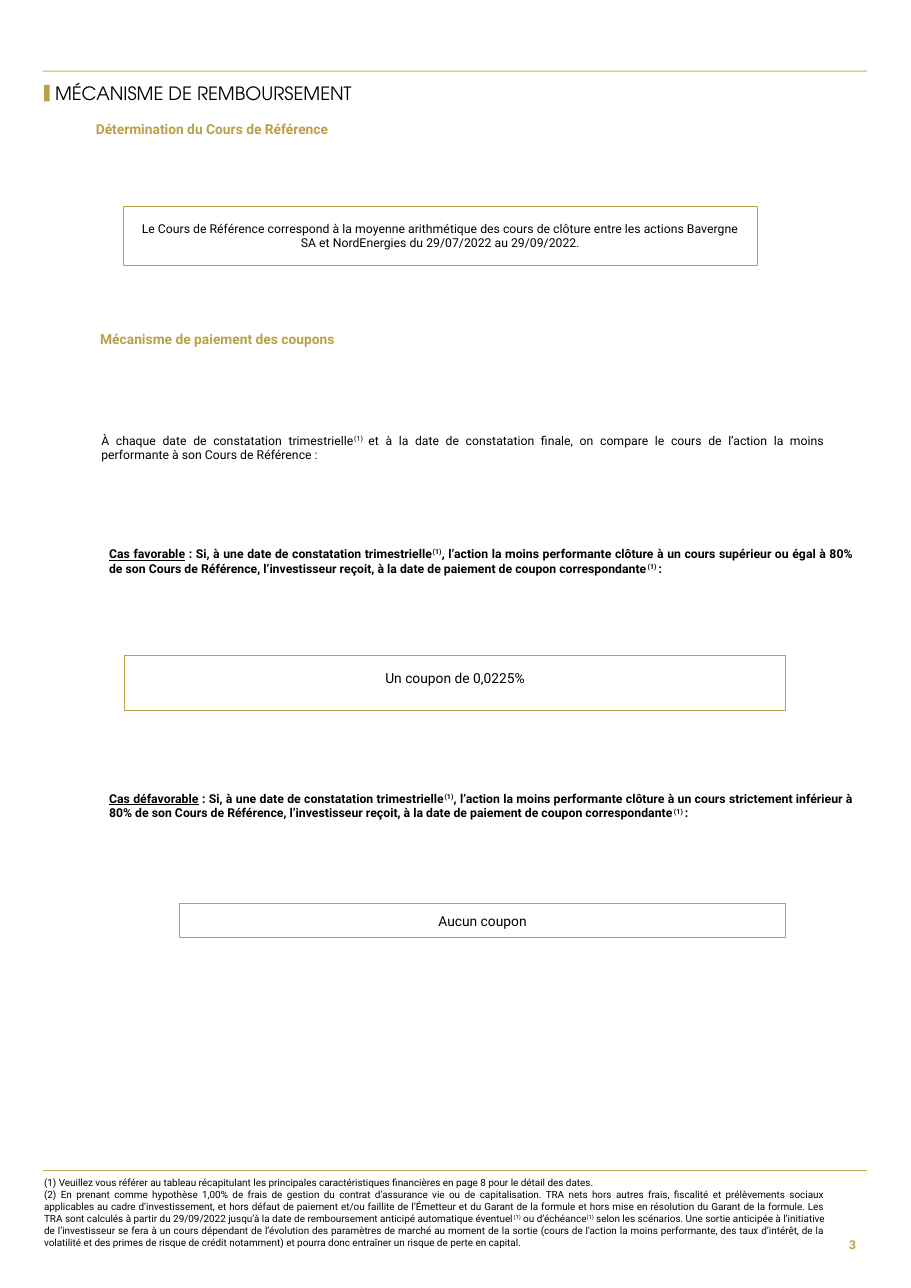
from pptx import Presentation
from pptx.dml.color import RGBColor
from pptx.enum.shapes import MSO_SHAPE as Shape
from pptx.enum.text import MSO_ANCHOR as Anchor, MSO_AUTO_SIZE as AutoSize, PP_ALIGN as Align
from pptx.util import Inches, Pt

GOLD = RGBColor(0xB9, 0xA0, 0x49)
RULE_GOLD = RGBColor(0xC5, 0xAF, 0x5C)
BLACK = RGBColor(0, 0, 0)
WHITE = RGBColor(255, 255, 255)
BODY_FONT = "Roboto"
TITLE_FONT = "TeX Gyre Adventor"

DATES_NOTE = (
    "(1) Veuillez vous référer au tableau récapitulant les principales caractéristiques "
    "financières en page 8 pour le détail des dates.")
RETURN_NOTE_SENTENCES = [
    "(2) En prenant comme hypothèse 1,00% de frais de gestion du contrat d’assurance vie ou de "
    "capitalisation.",
    "TRA nets hors autres frais, fiscalité et prélèvements sociaux applicables au cadre "
    "d’investissement, et hors défaut de paiement et/ou faillite de l’Émetteur et du Garant "
    "de la formule et hors mise en résolution du Garant de la formule.",
    "Les TRA sont calculés à partir du 29/09/2022 jusqu’à la date de remboursement anticipé "
    "automatique éventuel^(1)^ ou d’échéance^(1)^ selon les scénarios.",
    "Une sortie anticipée à l’initiative de l’investisseur se fera à un cours dépendant de "
    "l’évolution des paramètres de marché au moment de la sortie (cours de l'action la moins "
    "performante, des taux d’intérêt, de la volatilité et des primes de risque de crédit "
    "notamment) et pourra donc entraîner un risque de perte en capital.",
]


def write(frame, *paragraphs, size=8, font=BODY_FONT, color=BLACK, bold=False,
          align=Align.LEFT, anchor=Anchor.TOP, insets=(0, 0), spacing=None, lead=""):
    """Fill a frame: ^...^ marks superscript, lead is an underlined opening."""
    frame.word_wrap = True
    frame.auto_size = AutoSize.NONE
    frame.vertical_anchor = anchor
    frame.margin_left = frame.margin_right = Inches(insets[0])
    frame.margin_top = frame.margin_bottom = Inches(insets[1])
    for index, text in enumerate(paragraphs):
        paragraph = frame.paragraphs[0] if index == 0 else frame.add_paragraph()
        paragraph.alignment = align
        paragraph.space_before = Pt(0)
        paragraph.line_spacing = spacing
        pieces = [(lead, True, False)] if index == 0 else []
        pieces += [(part, False, n % 2 == 1) for n, part in enumerate(text.split("^"))]
        for part, underlined, raised in pieces:
            if not part:
                continue
            run = paragraph.add_run()
            run.text = part
            run.font.size = Pt(size)
            run.font.name = font
            run.font.color.rgb = color
            run.font.bold = bold
            if underlined:
                run.font.underline = True
            if raised:
                run._r.get_or_add_rPr().set("baseline", "30000")


def add_text(slide, box, *paragraphs, **style):
    write(slide.shapes.add_textbox(*map(Inches, box)).text_frame, *paragraphs, **style)


def add_rect(slide, box, fill=None, line=None, width=0.75):
    rect = slide.shapes.add_shape(Shape.RECTANGLE, *map(Inches, box))
    rect.shadow.inherit = False
    if fill is None:
        rect.fill.background()
    else:
        rect.fill.solid()
        rect.fill.fore_color.rgb = fill
    if line is None:
        rect.line.fill.background()
    else:
        rect.line.color.rgb = line
        rect.line.width = Pt(width)
    return rect


def add_framed_text(slide, box, text, fill=WHITE, width=0.75, **style):
    frame = add_rect(slide, box, fill, GOLD, width).text_frame
    write(frame, text, align=Align.CENTER, **style)


def add_header(slide, left, top, width):
    add_rect(slide, (left, top, width, 0.01), RULE_GOLD)
    add_rect(slide, (left + 0.01, top + 0.13, 0.05, 0.15), GOLD)
    title = slide.shapes.title
    title.left, title.top = Inches(left + 0.11), Inches(top + 0.09)
    title.width, title.height = Inches(4.21), Inches(0.25)
    write(title.text_frame, "MÉCANISME DE REMBOURSEMENT", size=12, font=TITLE_FONT,
          anchor=Anchor.MIDDLE, spacing=0.9)


def add_section_heading(slide, left, top, text):
    add_text(slide, (left, top, 6.5, 0.18), text, size=9, color=GOLD, bold=True)


def add_reference_price(slide, left, top):
    add_section_heading(slide, left, top, "Détermination du Cours de Référence")
    add_framed_text(
        slide, (left + 0.25, top + 0.77, 5.76, 0.54),
        "Le Cours de Référence correspond à la moyenne arithmétique des cours de clôture entre les "
        "actions Bavergne SA et NordEnergies du 29/07/2022 au 29/09/2022.",
        fill=None, width=0.5, anchor=Anchor.MIDDLE, insets=(0.12, 0.1))


def add_case(slide, top, name, threshold):
    add_text(
        slide, (0.99, top, 6.76, 0.27),
        f" : Si, à une date de constatation trimestrielle^(1)^, l’action la moins performante "
        f"clôture à un cours {threshold} à 80% de son Cours de Référence, l’investisseur reçoit, "
        f"à la date de paiement de coupon correspondante^(1) ^:",
        lead=name, bold=True, align=Align.JUSTIFY)


def add_coupon_mechanism(slide, left, top):
    add_section_heading(slide, left, top, "Mécanisme de paiement des coupons")
    add_text(
        slide, (left + 0.01, top + 0.93, 6.57, 0.27),
        "À chaque date de constatation trimestrielle^(1) ^et à la date de constatation finale, on "
        "compare le cours de l’action la moins performante à son Cours de Référence :",
        align=Align.JUSTIFY)
    add_case(slide, top + 1.96, "Cas favorable", "supérieur ou égal")
    add_framed_text(slide, (left + 0.22, top + 2.95, 6, 0.5), "Un coupon de 0,0225%",
                    size=9, spacing=0.9, insets=(0.12, 0.15))
    add_case(slide, top + 4.18, "Cas défavorable", "strictement inférieur")
    add_framed_text(slide, (left + 0.72, top + 5.2, 5.5, 0.31), "Aucun coupon",
                    size=9, anchor=Anchor.MIDDLE, insets=(0.12, 0.08))


def add_footer(slide, left, top, width):
    add_rect(slide, (left, top, width, 0.01), RULE_GOLD)
    add_text(slide, (left + 0.01, top + 0.06, 7.09, 0.66),
             DATES_NOTE, " ".join(RETURN_NOTE_SENTENCES), size=6.5, align=Align.JUSTIFY)
    add_text(slide, (left + width - 0.39, top + 0.47, 0.39, 0.42), "3", color=GOLD, bold=True,
             align=Align.RIGHT, anchor=Anchor.MIDDLE, insets=(0.1, 0.05))


def main():
    deck = Presentation()
    deck.slide_width, deck.slide_height = Inches(8.27), Inches(11.69)
    slide = deck.slides.add_slide(deck.slide_layouts[5])
    add_header(slide, 0.39, 0.64, 7.48)
    add_reference_price(slide, 0.87, 1.1)
    add_coupon_mechanism(slide, 0.91, 3)
    add_footer(slide, 0.39, 10.62, 7.48)
    deck.save("out.pptx")


if __name__ == "__main__":
    main()
